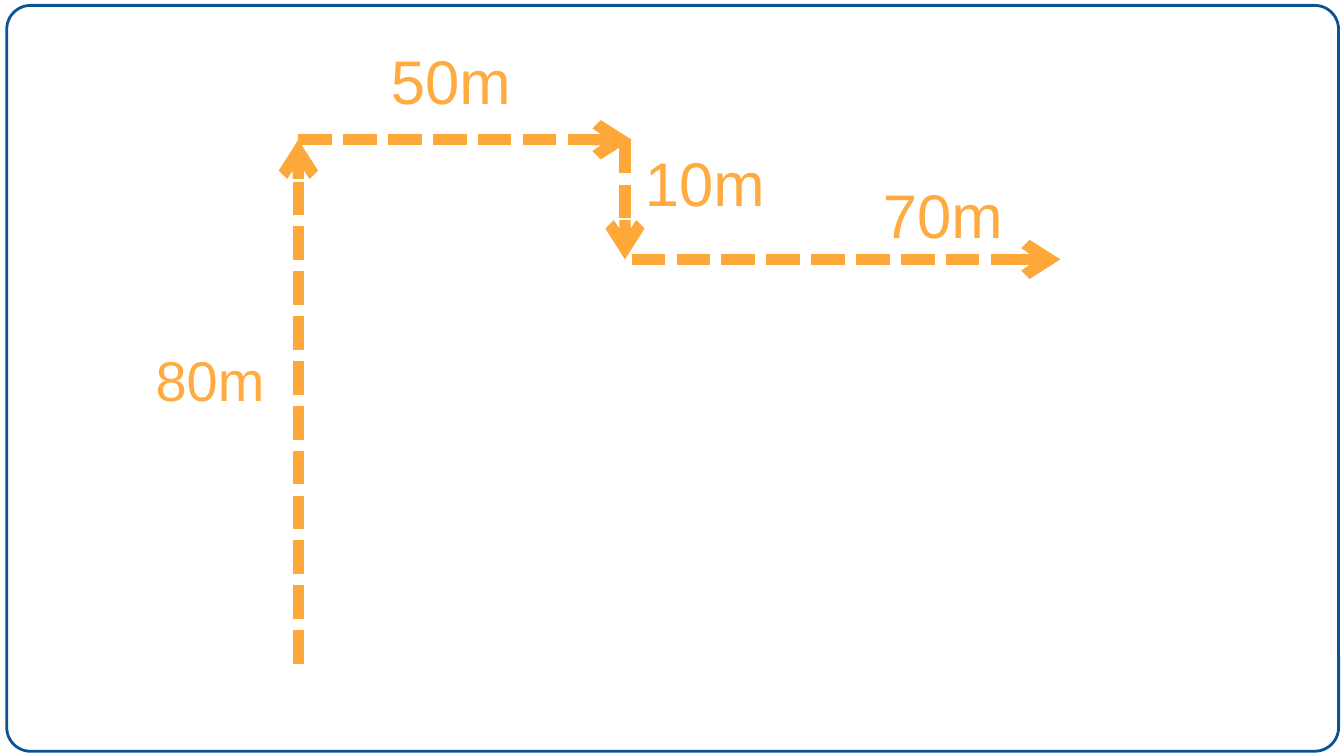
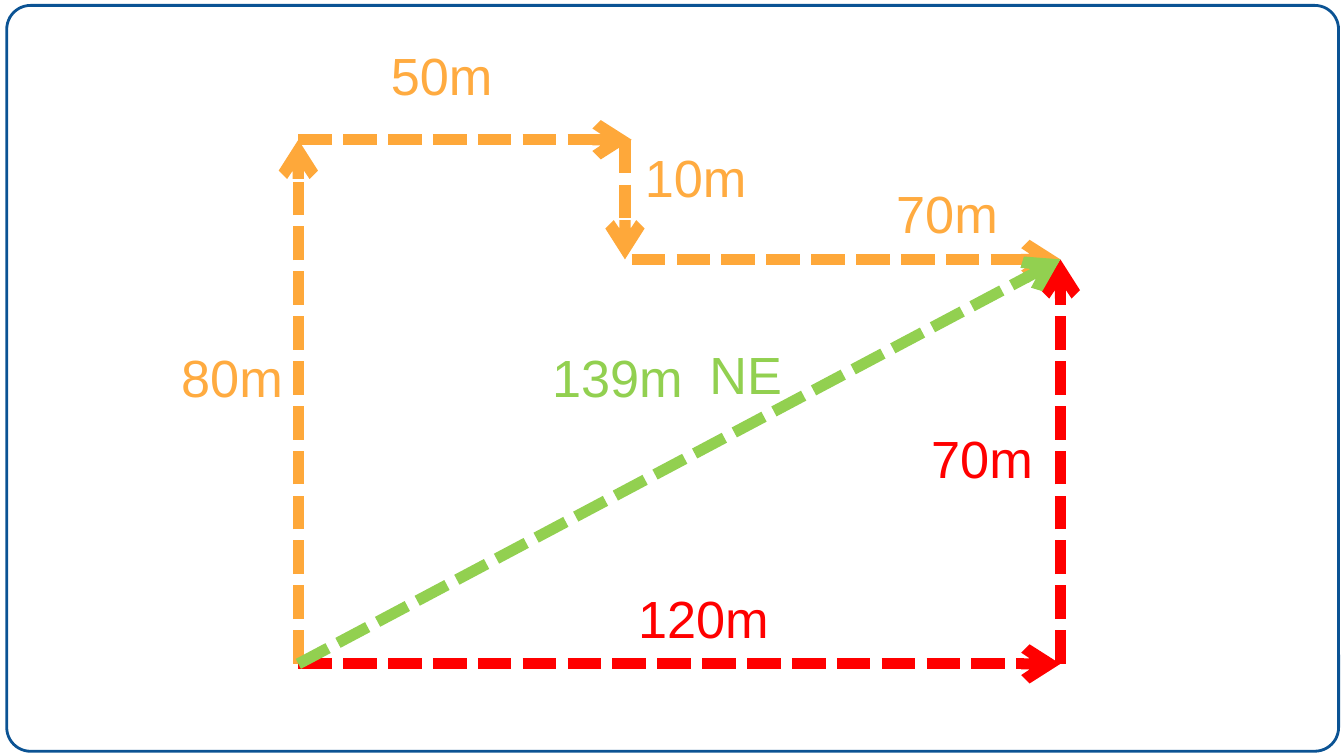
from lxml import etree
from pptx import Presentation
from pptx.dml.color import RGBColor
from pptx.enum import shapes, text
from pptx.oxml import ns
from pptx.util import Inches, Pt

FRAME_BLUE = RGBColor(0x0B, 0x53, 0x94)
PATH_ORANGE = RGBColor(0xFE, 0xA8, 0x3A)
LABEL_ORANGE = RGBColor(0xFF, 0xAB, 0x40)
COMPONENT_RED = RGBColor(0xFF, 0x00, 0x00)
RESULTANT_GREEN = RGBColor(0x92, 0xD0, 0x50)

# Corners of the walk
START = (2.22, 4.94)
NORTH = (2.22, 1.04)
EAST = (4.7, 1.04)
DESCENT_TOP = (4.65, 1.04)
DESCENT_END = (4.65, 1.93)
LAST_LEG = (4.7, 1.93)
FINISH = (7.89, 1.93)
CORNER = (7.89, 4.94)


def add_arrow(slide, start, end, color):
    leg = slide.shapes.add_connector(
        shapes.MSO_CONNECTOR.STRAIGHT, *map(Inches, start + end))
    leg.line.color.rgb = color
    leg.line.width = Pt(6)
    outline = leg.line._get_or_add_ln()
    etree.SubElement(outline, ns.qn("a:prstDash"), val="sysDash")
    etree.SubElement(outline, ns.qn("a:tailEnd"), type="arrow")
    etree.SubElement(leg._element.spPr, ns.qn("a:effectLst"))


def add_label(slide, wording, box, size, color):
    label = slide.shapes.add_textbox(*map(Inches, box))
    frame = label.text_frame
    frame.word_wrap = True
    frame.auto_size = text.MSO_AUTO_SIZE.SHAPE_TO_FIT_TEXT
    run = frame.paragraphs[0].add_run()
    run.text = wording
    run.font.name = "Arial"
    run.font.size = Pt(size)
    run.font.color.rgb = color


walk_legs = [(START, NORTH), (NORTH, EAST), (DESCENT_TOP, DESCENT_END), (LAST_LEG, FINISH)]

# Wording, box and text size for each leg of the walk, slide by slide
walk_labels = [
    [("80m", (1.06, 2.52, 1.17, 0.61), 30),
     ("50m", (2.81, 0.27, 1.23, 0.66), 33),
     ("10m", (4.7, 1.03, 1.15, 0.66), 33),
     ("70m", (6.47, 1.27, 1.15, 0.66), 33)],
    [("80m", (1.25, 2.52, 1.17, 0.57), 28),
     ("50m", (2.81, 0.27, 1.07, 0.57), 28),
     ("10m", (4.7, 1.03, 1.04, 0.57), 28),
     ("70m", (6.57, 1.3, 1.06, 0.57), 28)],
]

deck = Presentation()
deck.slide_width = Inches(10)
deck.slide_height = deck.slide_width * 9 // 16

for labels in walk_labels:
    slide = deck.slides.add_slide(deck.slide_layouts[6])
    border = slide.shapes.add_shape(
        shapes.MSO_SHAPE.ROUNDED_RECTANGLE, *map(Inches, (0.05, 0.04, 9.91, 5.55)))
    border.adjustments[0] = 0.032
    border.shadow.inherit = False
    border.fill.background()
    border.line.color.rgb = FRAME_BLUE
    border.line.width = Pt(1.5)
    for (start, end), (wording, box, size) in zip(walk_legs, labels):
        add_arrow(slide, start, end, PATH_ORANGE)
        add_label(slide, wording, box, size, LABEL_ORANGE)

# The second slide also shows the components and the resultant
add_arrow(slide, CORNER, FINISH, COMPONENT_RED)
add_arrow(slide, START, CORNER, COMPONENT_RED)
add_label(slide, "120m", (4.65, 4.31, 1.34, 0.57), 28, COMPONENT_RED)
add_label(slide, "70m", (6.83, 3.12, 1.05, 0.57), 28, COMPONENT_RED)
add_arrow(slide, START, FINISH, RESULTANT_GREEN)
add_label(slide, "139m", (4.01, 2.52, 1.39, 0.57), 28, RESULTANT_GREEN)
add_label(slide, "NE", (5.18, 2.5, 1.39, 0.57), 28, RESULTANT_GREEN)

deck.save("out.pptx")
